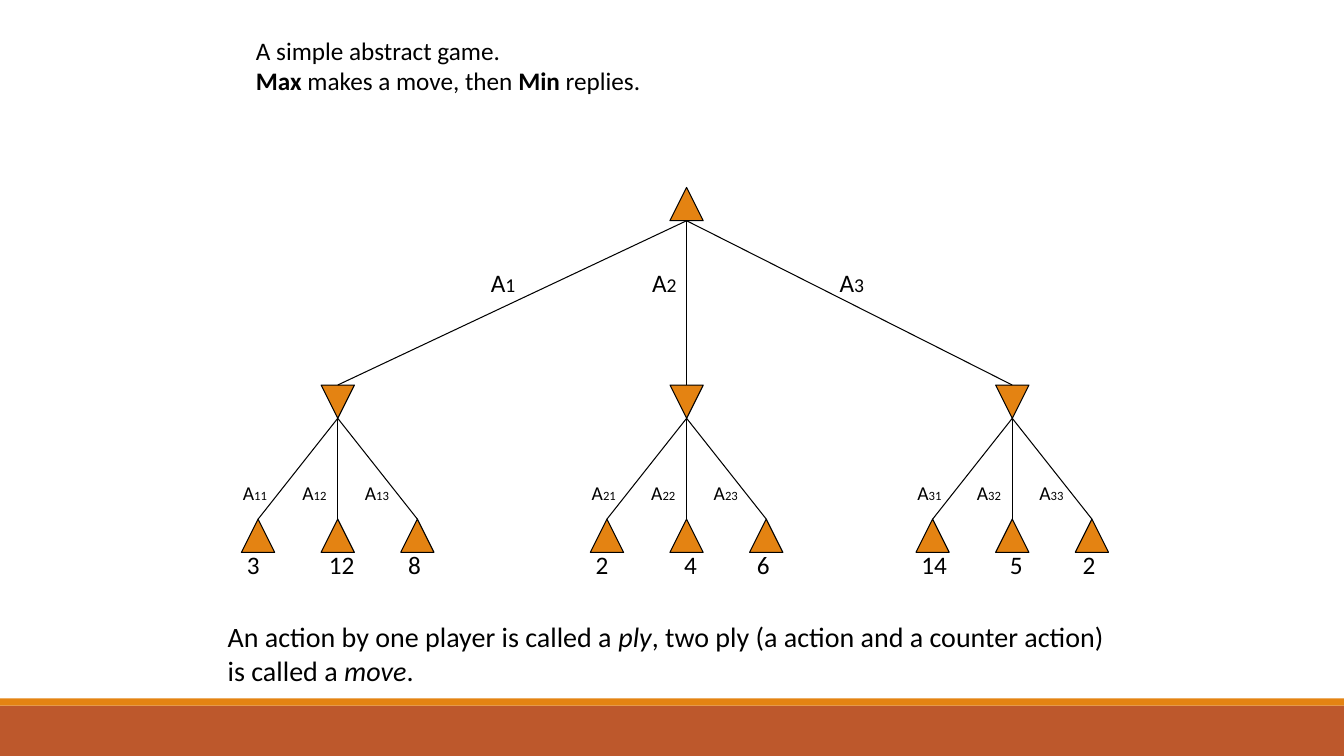
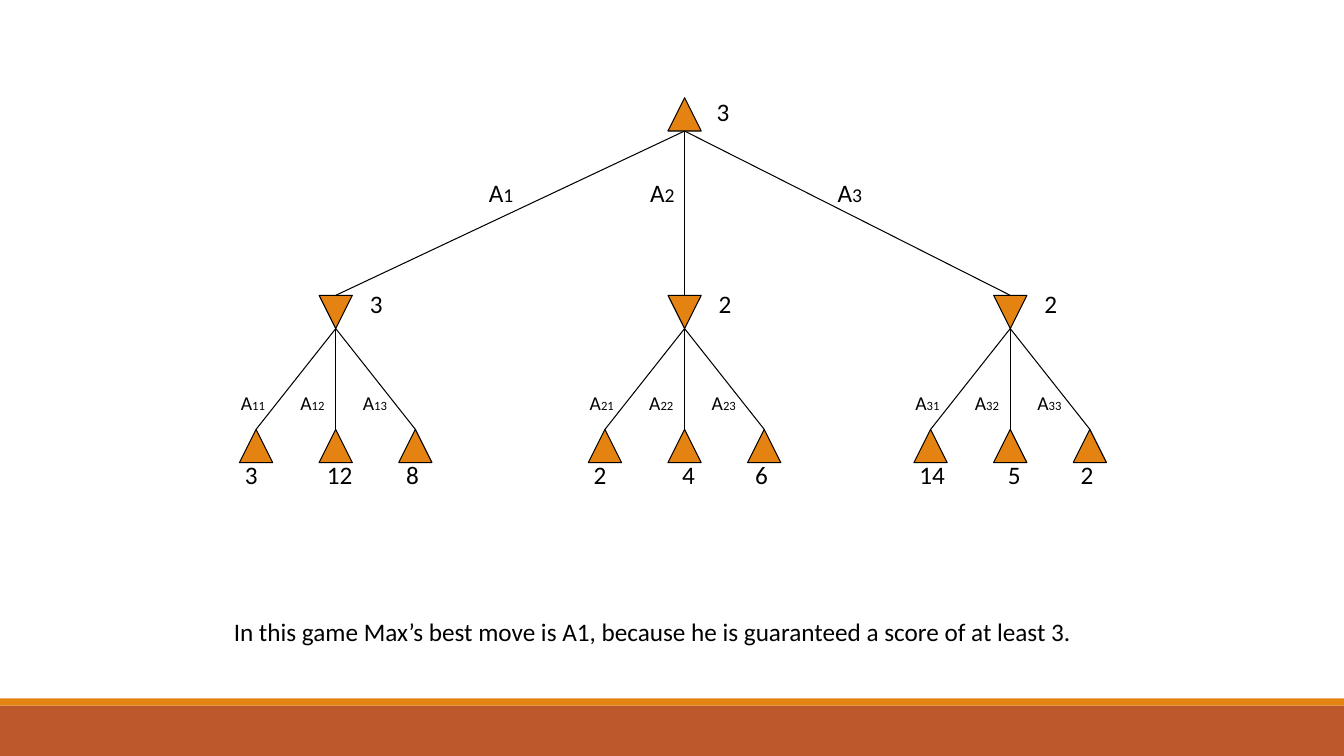
from dataclasses import dataclass

from lxml.etree import SubElement
from pptx import Presentation
from pptx.dml.color import RGBColor
from pptx.enum.shapes import MSO_CONNECTOR as Connector, MSO_SHAPE as Preset
from pptx.enum.text import PP_ALIGN as Align
from pptx.oxml.ns import qn
from pptx.util import Inches, Pt


@dataclass(frozen=True)
class Theme:
    font: str = "Calibri"
    ink: RGBColor = RGBColor.from_string("000000")
    orange: RGBColor = RGBColor.from_string("E48312")
    rust: RGBColor = RGBColor.from_string("BD582C")
    statement: float = 20
    body: float = 18
    small: float = 14
    tiny: float = 9
    line: float = 0.75


@dataclass(frozen=True)
class Branch:
    offset: float
    label_offset: float
    leaves: tuple
    score: str


NODE = 0.33
LEAF_GAP = 0.79
MIN_DROP = 1.96
LEAF_DROP = 3.29
ACTION_OFFSETS = (-1.04, -0.45, 0.17)
VALUE_OFFSETS = (-1.0, -0.26, 0.6)
VALUE_ALIGNMENTS = (Align.LEFT, Align.CENTER, Align.LEFT)
BRANCHES = (
    Branch(-3.46, -2.04, ("3", "12", "8"), "3"),
    Branch(0, -0.44, ("2", "4", "6"), "2"),
    Branch(3.23, 1.42, ("14", "5", "2"), "2"),
)


class Deck:
    def __init__(self, theme):
        self.theme = theme
        self.presentation = Presentation()
        self.presentation.slide_width = Inches(13.33)
        self.presentation.slide_height = Inches(7.5)
        self.slide = None

    def new_slide(self):
        first = self.slide is None
        self.slide = self.presentation.slides.add_slide(self.presentation.slide_layouts[6])
        if first:
            self.master_band(7, 0.5, self.theme.rust)
            self.master_band(6.93, 0.07, self.theme.orange)

    def shape(self, preset, left, top, width, height, fill):
        shape = self.slide.shapes.add_shape(
            preset, Inches(left), Inches(top), Inches(width), Inches(height)
        )
        shape.shadow.inherit = False
        shape.fill.solid()
        shape.fill.fore_color.rgb = fill
        return shape

    def master_band(self, top, height, fill):
        band = self.shape(Preset.RECTANGLE, 0, top, 13.33, height, fill)
        band.line.fill.background()
        self.presentation.slide_master.element.cSld.spTree.append(band.element)

    def node(self, center, top, pointing_down=False):
        triangle = self.shape(
            Preset.ISOSCELES_TRIANGLE, center - NODE / 2, top, NODE, NODE, self.theme.orange
        )
        triangle.line.color.rgb = self.theme.ink
        triangle.line.width = Pt(self.theme.line)
        triangle.rotation = 180 if pointing_down else 0

    def edge(self, start_x, start_y, end_x, end_y):
        connector = self.slide.shapes.add_connector(
            Connector.STRAIGHT, Inches(start_x), Inches(start_y), Inches(end_x), Inches(end_y)
        )
        connector.line.color.rgb = self.theme.ink
        connector.line.width = Pt(self.theme.line)
        SubElement(connector.element.spPr, qn("a:effectLst"))

    def text(self, left, top, width, height, *paragraphs, align=Align.LEFT):
        box = self.slide.shapes.add_textbox(
            Inches(left), Inches(top), Inches(width), Inches(height)
        )
        frame = box.text_frame
        frame.word_wrap = True
        for index, runs in enumerate(paragraphs):
            paragraph = frame.add_paragraph() if index else frame.paragraphs[0]
            paragraph.alignment = align
            for content, size, *styles in runs:
                run = paragraph.add_run()
                run.text = content
                run.font.name = self.theme.font
                run.font.size = Pt(size)
                run.font.color.rgb = self.theme.ink
                run.font.bold = "bold" in styles
                run.font.italic = "italic" in styles

    def value(self, left, top, content, align=Align.LEFT):
        self.text(left, top, 0.6, 0.4, [(content, self.theme.body)], align=align)

    def action(self, left, top, index, letter_size, index_size):
        self.text(left, top, 0.6, 0.4, [("A", letter_size), (index, index_size)])

    def branch(self, number, branch, center, top, show_score):
        theme = self.theme
        leaf_top = top + LEAF_DROP - MIN_DROP
        self.node(center, top, pointing_down=True)
        for index, leaf in enumerate(branch.leaves):
            leaf_center = center + (index - 1) * LEAF_GAP
            self.edge(center, top + NODE, leaf_center, leaf_top)
            self.node(leaf_center, leaf_top)
            self.value(
                center + VALUE_OFFSETS[index], leaf_top + 0.25, leaf, VALUE_ALIGNMENTS[index]
            )
            self.action(
                center + ACTION_OFFSETS[index], leaf_top - 0.43,
                f"{number}{index + 1}", theme.small, theme.tiny,
            )
        if show_score:
            self.value(center + 0.24, top - 0.12, branch.score)

    def game_tree(self, center, top, show_scores=False):
        theme = self.theme
        for number, branch in enumerate(BRANCHES, 1):
            branch_center = center + branch.offset
            self.branch(number, branch, branch_center, top + MIN_DROP, show_scores)
            self.edge(center, top + NODE, branch_center, top + MIN_DROP)
            self.action(
                center + branch.label_offset, top + 0.74, str(number), theme.body, theme.small
            )
        self.node(center, top)
        if show_scores:
            self.value(center + 0.22, top - 0.06, "3")


def main():
    theme = Theme()
    deck = Deck(theme)

    deck.new_slide()
    deck.game_tree(6.81, 1.86)
    deck.text(
        2.44, 0.3, 4.4, 0.71,
        [("A simple abstract game.", theme.body)],
        [
            ("Max", theme.body, "bold"),
            (" makes a move, then ", theme.body),
            ("Min", theme.body, "bold"),
            (" replies.", theme.body),
        ],
    )
    deck.text(
        2.16, 6.1, 8.96, 0.77,
        [
            ("An action by one player is called a ", theme.statement),
            ("ply", theme.statement, "italic"),
            (", two ply (a action and a counter action) is called a ", theme.statement),
            ("move", theme.statement, "italic"),
            (".", theme.statement),
        ],
    )

    deck.new_slide()
    deck.game_tree(6.79, 0.97, show_scores=True)
    deck.text(
        2.22, 6.07, 9.18, 0.4,
        [(
            "In this game Max’s best move is A1, because he is guaranteed a score of at least 3.",
            theme.body,
        )],
    )

    deck.presentation.save("out.pptx")


if __name__ == "__main__":
    main()
